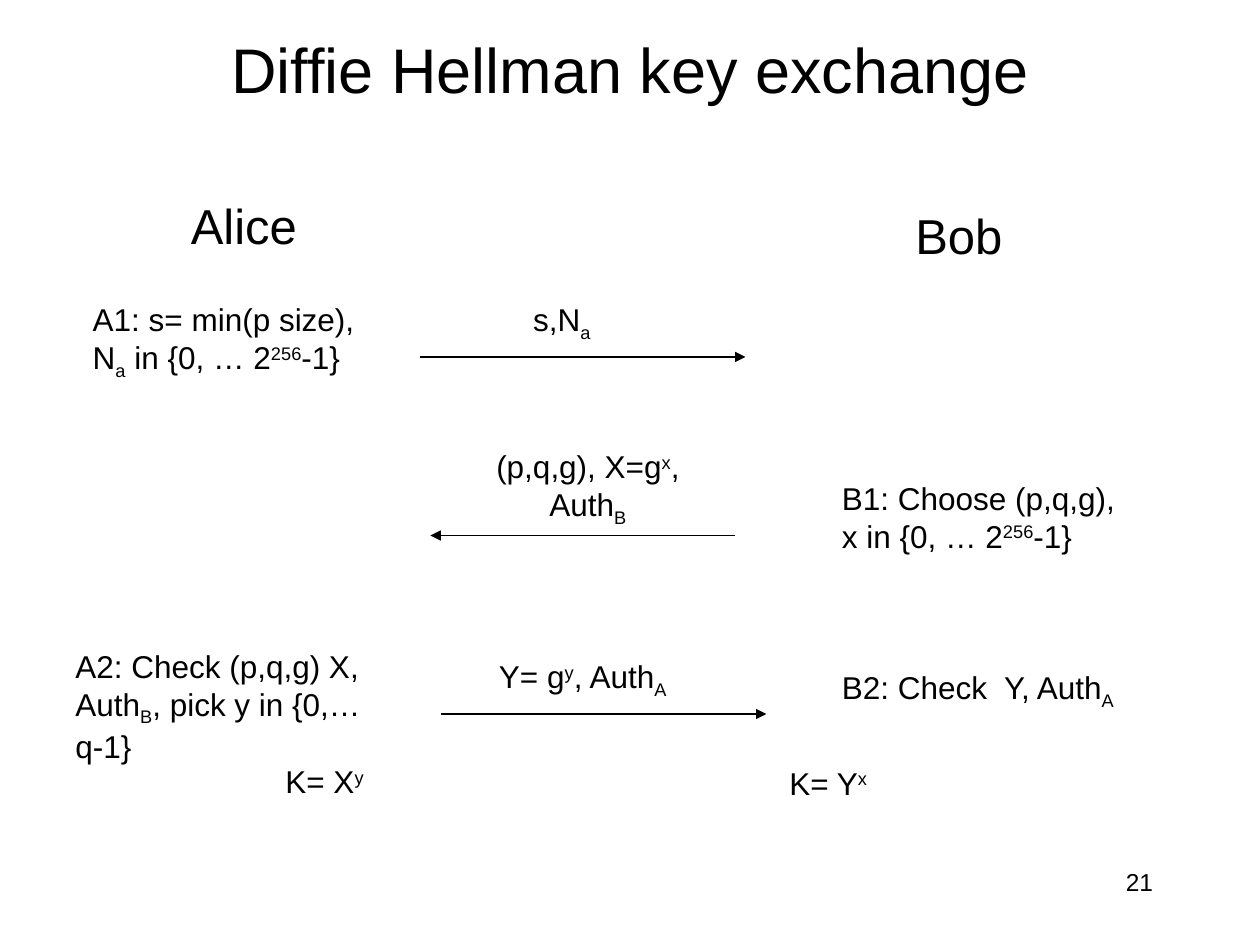
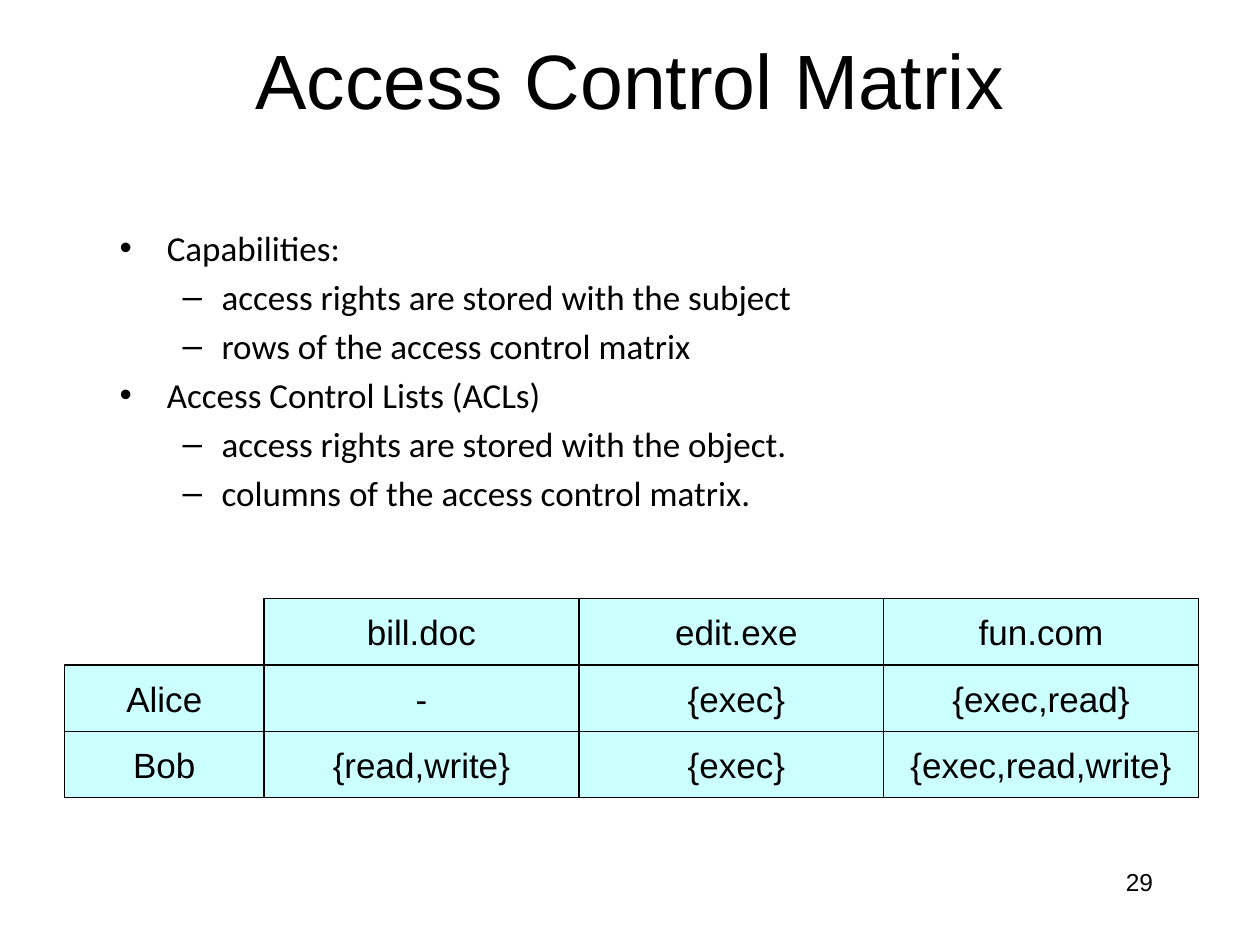
from typing import NamedTuple

from lxml.etree import SubElement
from pptx import Presentation
from pptx.dml.color import RGBColor
from pptx.enum.shapes import MSO_CONNECTOR, MSO_SHAPE
from pptx.enum.text import MSO_ANCHOR, MSO_AUTO_SIZE, PP_ALIGN
from pptx.oxml.ns import qn
from pptx.presentation import Presentation as Deck
from pptx.slide import Slide
from pptx.text.text import TextFrame, _Paragraph as Paragraph
from pptx.util import Emu, Inches, Pt

# Shared style
BLACK = RGBColor(0x00, 0x00, 0x00)
WHITE = RGBColor(0xFF, 0xFF, 0xFF)
PALE_CYAN = RGBColor(0xCC, 0xFF, 0xFF)
SANS = "Arial"
BODY_FONT = "Calibri"
WIDTH, HEIGHT = Inches(10), Inches(7.5)
TITLE_ONLY = 5

# The slide is a grid of 120 columns by 90 rows
COLUMN = WIDTH / 120
ROW = HEIGHT / 90

# Baseline shifts, marked by the first letter of a part
BASELINES = {"_": "-25000", "^": "30000"}


class Area(NamedTuple):
    column: float
    row: float
    columns: float
    rows: float

    def lengths(self) -> tuple[Emu, Emu, Emu, Emu]:
        return (Emu(round(self.column * COLUMN)), Emu(round(self.row * ROW)),
                Emu(round(self.columns * COLUMN)), Emu(round(self.rows * ROW)))


class Indent(NamedTuple):
    left: float
    first: float
    bullet: str = ""


class Label(NamedTuple):
    """Lines of text; parts split by | are lowered by _ or raised by ^."""
    area: Area
    lines: tuple[str, ...]
    size: int = 18
    align: PP_ALIGN = PP_ALIGN.LEFT
    indent: Indent | None = None


class Arrow(NamedTuple):
    start: float
    end: float
    row: float


class MatrixColumn(NamedTuple):
    start: float
    columns: float
    texts: tuple[str, ...]


TOP_LEVEL = Indent(0.375, -0.375, "•")
SUB_LEVEL = Indent(0.81, -0.31, "–")
NAME_INDENT = Indent(0.81, -0.31)
NUMBER_AREA = Area(86, 82, 25, 6)

# Key exchange content
EXCHANGE_LABELS = (
    Label(Area(11, 18, 21, 5), ("Alice",), 28, indent=NAME_INDENT),
    Label(Area(80, 19, 21, 5), ("Bob",), 28, indent=NAME_INDENT),
    Label(Area(7.65, 28, 28.35, 8.5),
          ("A1: s= min(p size),", "N|_a| in {0, … 2|^256|-1}")),
    Label(Area(43, 28, 21, 4.8), ("s,N|_a",), align=PP_ALIGN.CENTER),
    Label(Area(79, 45, 33, 8.5),
          ("B1: Choose (p,q,g),", "x in {0, … 2|^256|-1}")),
    Label(Area(44, 42, 24, 8.5), ("(p,q,g), X=g|^x|, Auth|_B",),
          align=PP_ALIGN.CENTER),
    Label(Area(6, 61, 31, 12.1),
          ("A2: Check (p,q,g) X, Auth|_B|, pick y in {0,…q-1}",)),
    Label(Area(79, 63, 33, 4.8), ("B2: Check  Y, Auth|_A",)),
    Label(Area(45, 62, 21, 4.8), ("Y= g|^y|, Auth|_A",),
          align=PP_ALIGN.CENTER),
    Label(Area(26, 72, 21, 4.8), ("K= X|^y",)),
    Label(Area(74, 72.15, 21, 4.8), ("K= Y|^x",)),
)
EXCHANGE_ARROWS = (Arrow(40, 71, 34), Arrow(70, 41, 51), Arrow(42, 73, 68))

# Access control content
CONCEPTS = (
    (TOP_LEVEL, "Capabilities:"),
    (SUB_LEVEL, "access rights are stored with the subject"),
    (SUB_LEVEL, "rows of the access control matrix"),
    (TOP_LEVEL, "Access Control Lists (ACLs)"),
    (SUB_LEVEL, "access rights are stored with the object."),
    (SUB_LEVEL, "columns of the access control matrix."),
)
CONCEPT_AREA = Area(10.2, 21, 109.8, 33)
MATRIX = (
    MatrixColumn(6.15, 19, ("", "Alice", "Bob")),
    MatrixColumn(25.15, 30, ("bill.doc", "-", "{read,write}")),
    MatrixColumn(55.15, 30, ("edit.exe", "{exec}", "{exec}")),
    MatrixColumn(84.15, 30, ("fun.com", "{exec,read}", "{exec,read,write}")),
)
MATRIX_TOP, MATRIX_STEP = 57, 6.33


def style_runs(paragraph: Paragraph, size: int, font_name: str = SANS) -> None:
    for run in paragraph.runs:
        run.font.size = Pt(size)
        run.font.name = font_name
        run.font.color.rgb = BLACK


def set_indent(paragraph: Paragraph, indent: Indent) -> None:
    properties = paragraph._p.get_or_add_pPr()
    properties.set("marL", str(Inches(indent.left)))
    properties.set("indent", str(Inches(indent.first)))
    if indent.bullet:
        SubElement(properties, qn("a:buFont"), typeface="Arial")
        SubElement(properties, qn("a:buChar"), char=indent.bullet)


def add_text_frame(slide: Slide, area: Area) -> TextFrame:
    text_frame = slide.shapes.add_textbox(*area.lengths()).text_frame
    text_frame.word_wrap = True
    return text_frame


def add_label(slide: Slide, label: Label) -> None:
    text_frame = add_text_frame(slide, label.area)
    text_frame.text = "\n".join(label.lines)
    for paragraph, line in zip(text_frame.paragraphs, label.lines):
        paragraph.alignment = label.align
        if label.indent:
            set_indent(paragraph, label.indent)
        if "|" in line:
            paragraph.clear()
            for part in line.split("|"):
                run = paragraph.add_run()
                run.text = part.lstrip("_^")
                if part[0] in BASELINES:
                    run._r.get_or_add_rPr().set("baseline", BASELINES[part[0]])
        style_runs(paragraph, label.size)


def add_arrow(slide: Slide, arrow: Arrow) -> None:
    start, row, length, _ = Area(
        arrow.start, arrow.row, arrow.end - arrow.start, 0).lengths()
    connector = slide.shapes.add_connector(
        MSO_CONNECTOR.STRAIGHT, start, row, Emu(start + length), row)
    connector.line.color.rgb = BLACK
    connector.line.width = Pt(1)
    SubElement(connector.line._get_or_add_ln(), qn("a:tailEnd"), type="triangle")
    SubElement(connector._element.spPr, qn("a:effectLst"))


def add_titled_slide(presentation: Deck, title: str, area: Area, size: int,
                     number: str) -> Slide:
    slide = presentation.slides.add_slide(presentation.slide_layouts[TITLE_ONLY])
    slide.background.fill.solid()
    slide.background.fill.fore_color.rgb = WHITE
    placeholder = slide.shapes.title
    (placeholder.left, placeholder.top,
     placeholder.width, placeholder.height) = area.lengths()
    text_frame = placeholder.text_frame
    text_frame.text = title
    text_frame.auto_size = MSO_AUTO_SIZE.NONE
    text_frame.vertical_anchor = MSO_ANCHOR.MIDDLE
    text_frame.paragraphs[0].alignment = PP_ALIGN.CENTER
    style_runs(text_frame.paragraphs[0], size)
    add_label(slide, Label(NUMBER_AREA, (number,), 14, PP_ALIGN.RIGHT))
    return slide


def add_matrix_cell(slide: Slide, area: Area, text: str) -> None:
    shape = slide.shapes.add_shape(MSO_SHAPE.RECTANGLE, *area.lengths())
    shape.shadow.inherit = False
    shape.fill.solid()
    shape.fill.fore_color.rgb = PALE_CYAN
    shape.line.color.rgb = BLACK
    shape.line.width = Pt(0.75)
    text_frame = shape.text_frame
    text_frame.text = text
    text_frame.word_wrap = False
    text_frame.vertical_anchor = MSO_ANCHOR.MIDDLE
    text_frame.paragraphs[0].alignment = PP_ALIGN.CENTER
    style_runs(text_frame.paragraphs[0], 20)


def add_matrix(slide: Slide) -> None:
    for column in MATRIX:
        for position, text in enumerate(column.texts):
            if text:
                top = MATRIX_TOP + position * MATRIX_STEP
                area = Area(column.start, top, column.columns, MATRIX_STEP)
                add_matrix_cell(slide, area, text)


def add_concepts(slide: Slide) -> None:
    text_frame = add_text_frame(slide, CONCEPT_AREA)
    text_frame.text = "\n".join(text for _, text in CONCEPTS)
    for position, paragraph in enumerate(text_frame.paragraphs):
        set_indent(paragraph, CONCEPTS[position][0])
        if position:
            paragraph.space_before = Pt(4)
        style_runs(paragraph, 20, BODY_FONT)


def main() -> None:
    presentation = Presentation()
    presentation.slide_width, presentation.slide_height = WIDTH, HEIGHT

    # Key exchange
    exchange = add_titled_slide(presentation, "Diffie Hellman key exchange",
                                Area(9, 1, 102, 11), 36, "21")
    for label in EXCHANGE_LABELS:
        add_label(exchange, label)
    for arrow in EXCHANGE_ARROWS:
        add_arrow(exchange, arrow)

    # Access control matrix
    access = add_titled_slide(presentation, "Access Control Matrix",
                              Area(9, 0, 102, 15), 44, "29")
    add_matrix(access)
    add_concepts(access)

    presentation.save("out.pptx")


if __name__ == "__main__":
    main()
